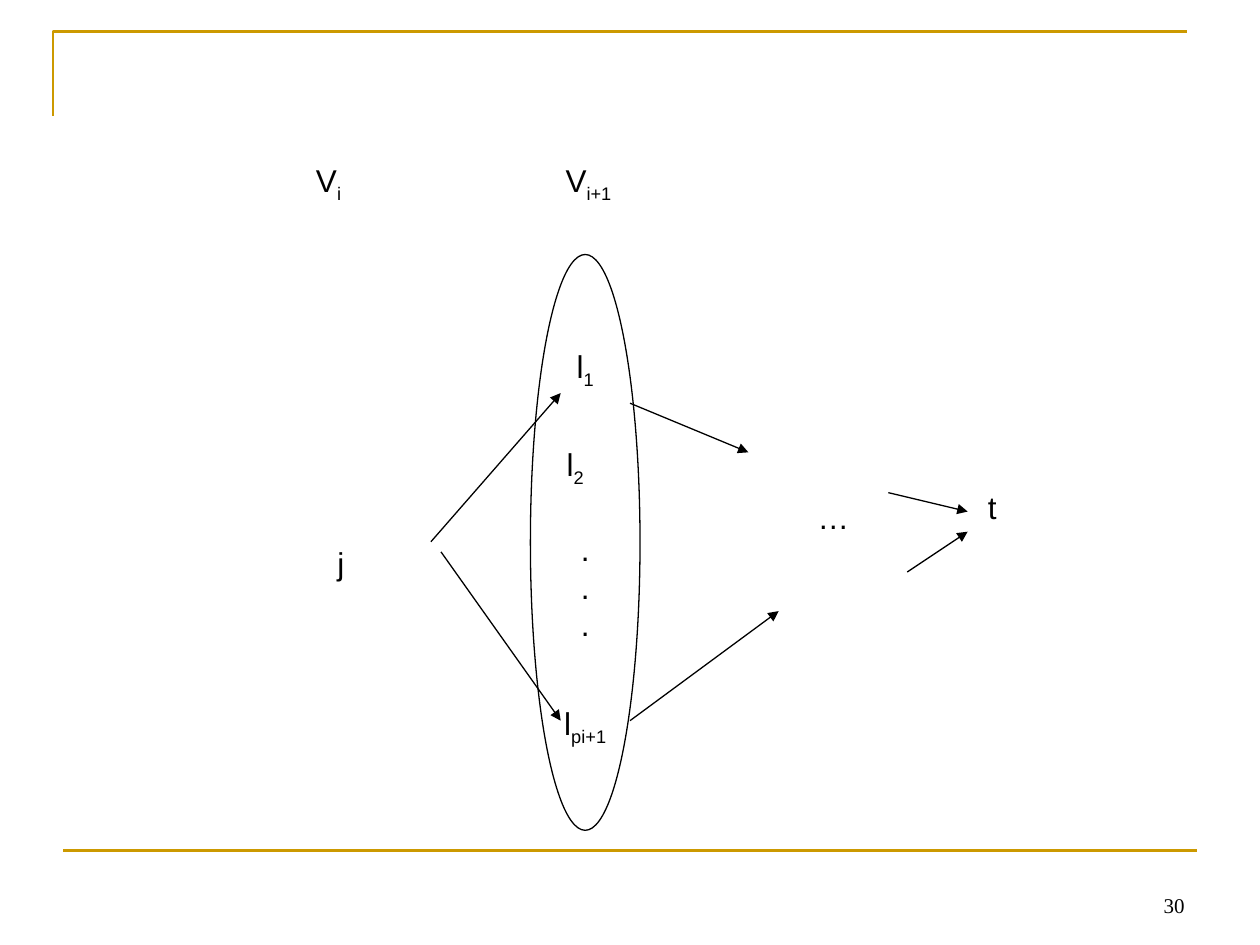
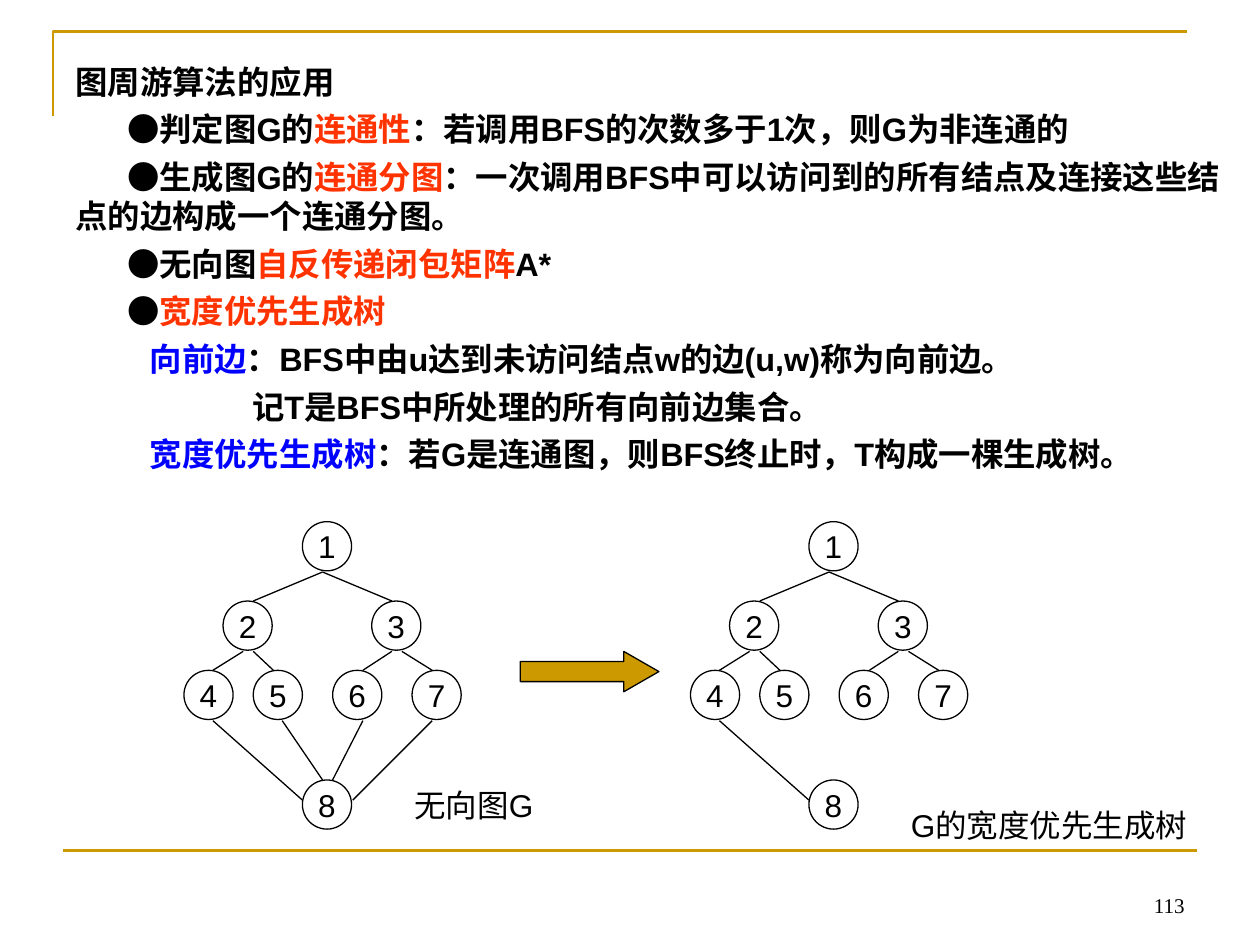
from lxml.etree import SubElement
from pptx import Presentation
from pptx.dml.color import RGBColor
from pptx.enum.shapes import MSO_CONNECTOR, MSO_SHAPE
from pptx.enum.text import MSO_ANCHOR, PP_ALIGN
from pptx.oxml.ns import qn
from pptx.util import Inches, Pt

GOLD = RGBColor(0xCC, 0x99, 0x00)
BLACK = RGBColor(0, 0, 0)
RED = RGBColor(0xFF, 0x33, 0x00)
BLUE = RGBColor(0, 0, 0xFF)

NODE = 0.39
NODES = {1: (2.4, 4.14), 2: (1.77, 4.77), 3: (2.95, 4.77), 4: (1.46, 5.32),
         5: (2.01, 5.32), 6: (2.64, 5.32), 7: (3.27, 5.32), 8: (2.4, 6.19)}
# parent, child, x at parent's bottom, x at child, drop below child's top
TREE_EDGES = [(1, 2, 2.56, 2.01, 0), (1, 3, 2.56, 3.11, 0),
              (2, 4, 1.93, 1.69, 0), (2, 5, 2.01, 2.17, 0),
              (3, 6, 3.11, 2.88, 0), (3, 7, 3.19, 3.43, 0),
              (4, 8, 1.69, 2.4, 0.16)]
OTHER_EDGES = [(5, 8, 2.24, 2.56, 0), (6, 8, 2.88, 2.64, 0),
               (7, 8, 3.43, 2.8, 0.16)]

# first-line indent, then (text, colour) runs
BULLET, TERM, CONTINUED = 0.41, 0.59, 1.4
APPLICATIONS = [
    (0, [("图周游算法的应用", BLACK)]),
    (BULLET, [("●判定图G的", BLACK), ("连通性", RED),
              ("：若调用BFS的次数多于1次，则G为非连通的", BLACK)]),
    (BULLET, [("●生成图G的", BLACK), ("连通分图", RED),
              ("：一次调用BFS中可以访问到的所有结点及连接这些结点的边构成一个连通分图。", BLACK)]),
    (BULLET, [("●无向图", BLACK), ("自反传递闭包矩阵", RED), ("A*", BLACK)]),
    (BULLET, [("●", BLACK), ("宽度优先生成树", RED)]),
    (TERM, [("向前边", BLUE),
            ("：BFS中由u达到未访问结点w的边(u,w)称为向前边。", BLACK)]),
    (CONTINUED, [("记T是BFS中所处理的所有向前边集合。", BLACK)]),
    (TERM, [("宽度优先生成树", BLUE),
            ("：若G是连通图，则BFS终止时，T构成一棵生成树。", BLACK)]),
]


def add_run(p, text, size=18, font="Arial", color=BLACK, bold=False, sub=False):
    r = p.add_run()
    r.text = text
    r.font.size = Pt(size)
    r.font.name = font
    r.font.bold = bold
    r.font.color.rgb = color
    if sub:
        r.font._element.set("baseline", "-25000")


class Deck:
    """Holds the style and the slide, or group, being drawn on."""

    def __init__(self):
        self.prs = Presentation()
        self.prs.slide_width, self.prs.slide_height = Inches(10), Inches(7.5)
        self.s = self.shapes = None

    def slide(self, number, layout=6):
        self.s = self.prs.slides.add_slide(self.prs.slide_layouts[layout])
        self.shapes = self.s.shapes
        tf = self.text(7.17, 6.83, 2.33, 0.5, str(number), size=12,
                       font="Times New Roman", align=PP_ALIGN.RIGHT)
        tf.vertical_anchor = MSO_ANCHOR.BOTTOM

    def group(self):
        self.shapes = self.s.shapes.add_group_shape().shapes

    def frame(self):
        """Draw the gold corner and bottom rule, then move them to the master."""
        builder = self.shapes.build_freeform(Inches(0.42), Inches(0.92))
        builder.add_line_segments(
            [(Inches(0.42), Inches(0.25)), (Inches(9.42), Inches(0.25))], close=False)
        corner = builder.convert_to_shape()
        self.style(corner, line=GOLD, width=1.5)
        rule = self.line(0.5, 6.75, 9.5, 6.75, color=GOLD, width=1.5)
        for sp in (corner, rule):
            self.prs.slide_master.shapes.element.append(sp.element)

    def style(self, sp, fill=None, line=BLACK, width=0.75):
        sp.shadow.inherit = False
        if fill is None:
            sp.fill.background()
        else:
            sp.fill.solid()
            sp.fill.fore_color.rgb = fill
        if line is None:
            sp.line.fill.background()
        else:
            sp.line.color.rgb = line
            sp.line.width = Pt(width)

    def shape(self, kind, x, y, w, h, **style):
        sp = self.shapes.add_shape(kind, Inches(x), Inches(y), Inches(w), Inches(h))
        self.style(sp, **style)
        return sp

    def node(self, x, y, size, *lines, sub="", line=BLACK):
        """Circle with centred lines of text and an optional subscript."""
        tf = self.shape(MSO_SHAPE.OVAL, x, y, size, size, line=line).text_frame
        tf.word_wrap = False
        tf.vertical_anchor = MSO_ANCHOR.MIDDLE
        for i, text in enumerate(lines):
            p = tf.add_paragraph() if i else tf.paragraphs[0]
            p.alignment = PP_ALIGN.CENTER
            add_run(p, text)
        if sub:
            add_run(p, sub, sub=True)

    def text(self, x, y, w, h, text, sub="", wrap=True, align=PP_ALIGN.LEFT, **fmt):
        tf = self.shapes.add_textbox(Inches(x), Inches(y), Inches(w), Inches(h)).text_frame
        tf.word_wrap = wrap
        p = tf.paragraphs[0]
        p.alignment = align
        add_run(p, text, **fmt)
        if sub:
            add_run(p, sub, sub=True, **fmt)
        return tf

    def line(self, x1, y1, x2, y2, color=BLACK, width=0.75, arrow=False):
        cxn = self.shapes.add_connector(
            MSO_CONNECTOR.STRAIGHT, Inches(x1), Inches(y1), Inches(x2), Inches(y2))
        cxn.line.color.rgb = color
        cxn.line.width = Pt(width)
        if arrow:
            SubElement(cxn.line._get_or_add_ln(), qn("a:tailEnd"), type="triangle")
        SubElement(cxn.element.spPr, qn("a:effectLst"))
        return cxn

    def body(self, x, y, w, h, paragraphs):
        sp = self.s.placeholders[1]
        sp.left, sp.top, sp.width, sp.height = Inches(x), Inches(y), Inches(w), Inches(h)
        tf = sp.text_frame
        for i, (indent, runs) in enumerate(paragraphs):
            p = tf.add_paragraph() if i else tf.paragraphs[0]
            pPr = p._p.get_or_add_pPr()
            pPr.set("marL", "0")
            pPr.set("indent", str(Inches(indent)))
            SubElement(pPr, qn("a:buNone"))
            p.line_spacing = Pt(22.25)
            p.space_before = Pt(5 if i else 0)
            for text, color in runs:
                add_run(p, text, size=18.5, color=color, bold=True)

    def graph(self, dx, edges):
        """Draw the eight numbered nodes and the given edges, shifted by dx."""
        self.group()
        for label, (x, y) in NODES.items():
            self.node(x + dx, y, NODE, str(label))
        for parent, child, x1, x2, drop in edges:
            self.line(x1 + dx, NODES[parent][1] + NODE + 0.01,
                      x2 + dx, NODES[child][1] + drop)


def layered_graph_slide(deck):
    deck.slide(30)
    deck.frame()
    for x, y, lines, sub in [(4.37, 2.65, "l", "1"), (4.29, 3.43, "l", "2"),
                             (4.37, 4.38, "...", ""), (4.37, 5.48, "l", "pi+1"),
                             (7.6, 3.75, "t", ""), (6.34, 3.83, "…", "")]:
        deck.node(x, y, 0.55, *lines, sub=sub, line=None)
    deck.shape(MSO_SHAPE.OVAL, 4.21, 2.02, 0.87, 4.57)
    for ends in [(3.42, 4.3, 4.45, 3.12), (3.5, 4.38, 4.45, 5.72),
                 (5, 3.2, 5.94, 3.59), (5, 5.72, 6.18, 4.85),
                 (7.05, 3.91, 7.68, 4.06), (7.2, 4.54, 7.68, 4.22)]:
        deck.line(*ends, arrow=True)
    deck.text(2.58, 4.27, 0.25, 0.4, "j", wrap=False)
    deck.text(2.41, 1.23, 0.4, 0.44, "V", sub="i", wrap=False)
    deck.text(4.39, 1.23, 0.6, 0.44, "V", sub="i+1", wrap=False)


def spanning_tree_slide(deck):
    deck.slide(113, layout=1)
    title = deck.s.shapes.title.element
    title.getparent().remove(title)
    deck.body(0.5, 0.44, 9.5, 3.62, APPLICATIONS)
    deck.graph(0, TREE_EDGES + OTHER_EDGES)
    deck.text(3.19, 6.19, 1.34, 0.4, "无向图G")
    deck.graph(4.02, TREE_EDGES)
    deck.text(7.13, 6.35, 2.52, 0.4, "G的宽度优先生成树")
    deck.shapes = deck.s.shapes
    arrow = deck.shape(MSO_SHAPE.RIGHT_ARROW, 4.13, 5.17, 1.1, 0.32, fill=GOLD)
    arrow.adjustments[1] = 0.87


def main():
    deck = Deck()
    layered_graph_slide(deck)
    spanning_tree_slide(deck)
    deck.prs.save("out.pptx")


if __name__ == "__main__":
    main()
